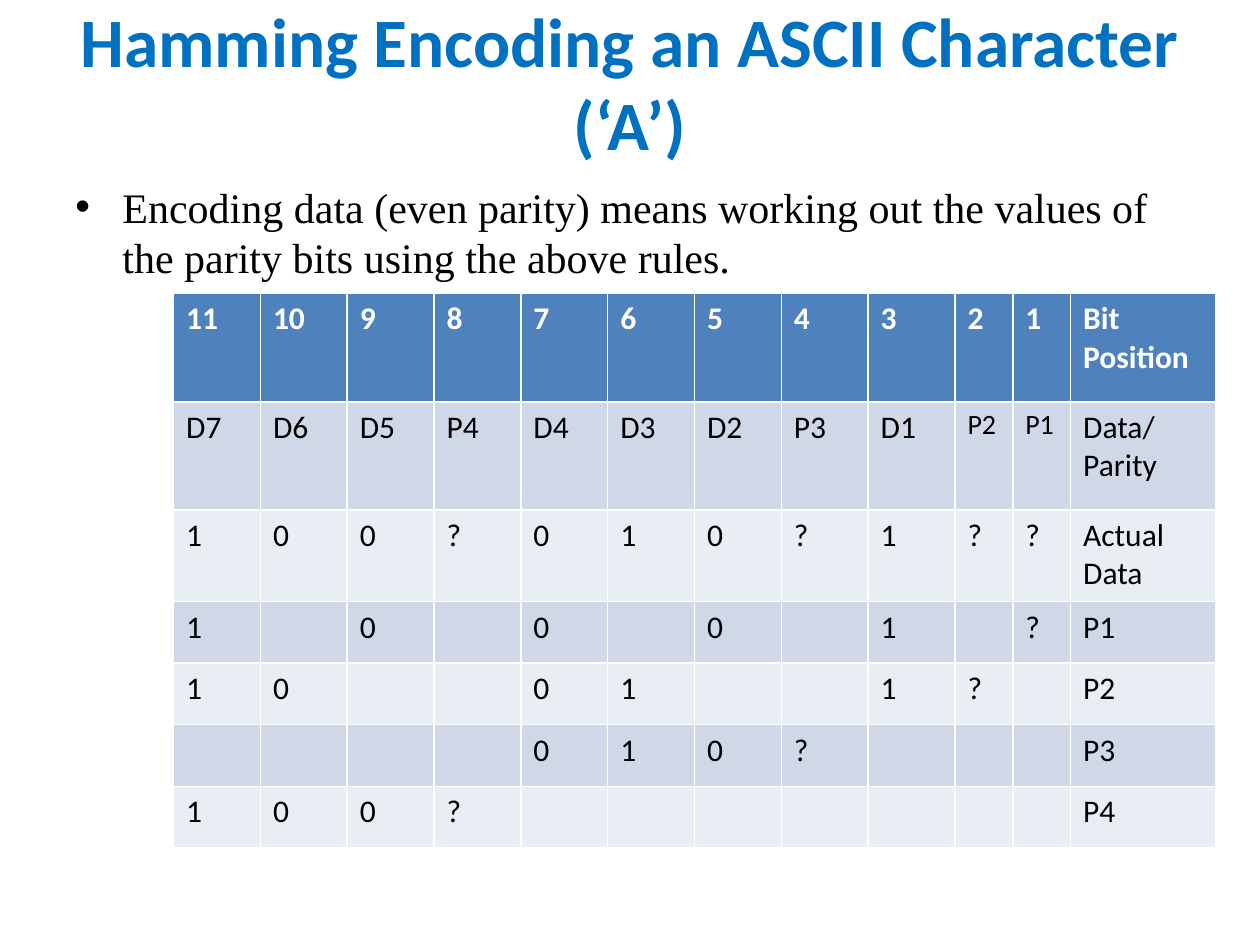
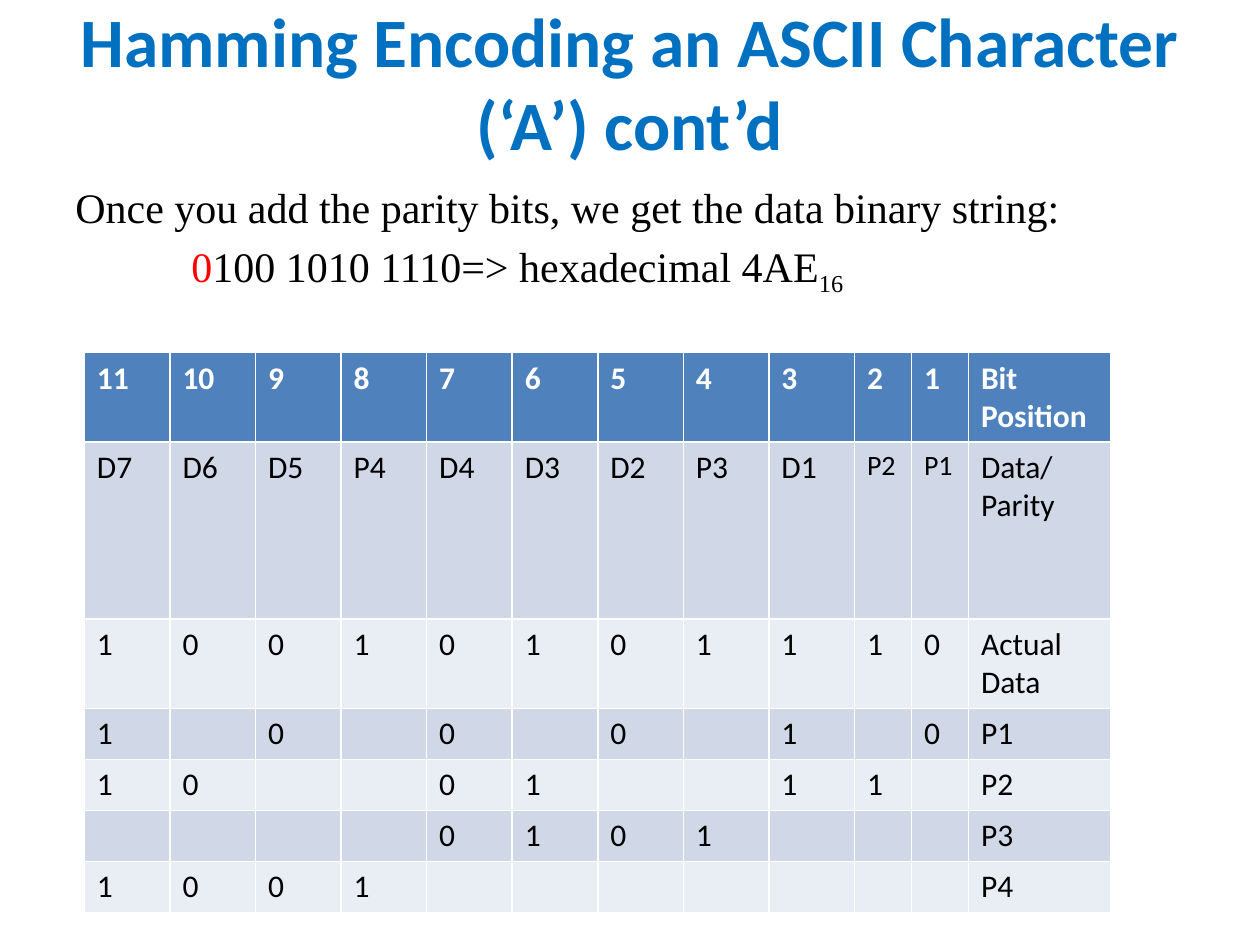
from dataclasses import dataclass

from lxml.etree import SubElement
from pptx import Presentation
from pptx.dml.color import RGBColor
from pptx.enum.text import MSO_ANCHOR as Anchor, MSO_AUTO_SIZE as AutoSize, PP_ALIGN as Align
from pptx.oxml.ns import qn
from pptx.util import Cm, Pt

BLUE, BLACK, RED, WHITE = "0070C0", "000000", "FF0000", "FFFFFF"
HEADER_FILL, BANDS = "4F81BD", ("D0D8E8", "E9EDF4")

TITLE_FONT = {"name": "Calibri", "size": Pt(39.6), "bold": True}
BODY_FONT = {"name": "Times New Roman", "size": Pt(24)}
CELL_FONT = {"name": "Calibri", "size": Pt(18), "bold": False}
TITLE_FRAME = {"word_wrap": True, "auto_size": AutoSize.NONE, "vertical_anchor": Anchor.MIDDLE,
               "margin_top": Cm(0.13), "margin_bottom": Cm(1.57)}
BODY_FRAME = {"word_wrap": True, "auto_size": AutoSize.NONE, "vertical_anchor": Anchor.TOP}

POSITIONS = range(11, 0, -1)
PARITY_BITS = {1: "P1", 2: "P2", 4: "P3", 8: "P4"}
NARROW = (2, 1)
COLUMN_UNITS = [2 if pos in NARROW else 3 for pos in POSITIONS] + [5]


@dataclass
class Run:
    text: str
    color: str = BLACK
    subscript: bool = False


@dataclass
class Para:
    runs: list[Run]
    indent: float = 0
    bullet: bool = False


@dataclass
class CodeTable:
    """Lengths in cm; codeword runs from bit 11 down to bit 1."""
    left: float
    top: float
    width: float
    row_heights: list[float]
    codeword: str


@dataclass
class HammingSlide:
    title: str
    body: list[Para]
    table: CodeTable


SLIDES = [
    HammingSlide(
        "Hamming Encoding an ASCII Character (‘A’)",
        [Para([Run("Encoding data (even parity) means working out the values of "
                   "the parity bits using the above rules.")], indent=0.95, bullet=True)],
        CodeTable(3.5, 5.92, 21, [2.18, 2.18, 1.85] + [1.24] * 4, "100?010?1??")),
    HammingSlide(
        "Hamming Encoding an ASCII Character (‘A’) cont’d",
        [Para([Run("Once you add the parity bits, we get the data binary string:")]),
         Para([Run("0", RED), Run("100 1010 1110=> hexadecimal 4AE"),
               Run("16", subscript=True)], indent=2.34)],
        CodeTable(1.7, 7.11, 20.7, [1.75, 3.56, 1.42] + [1.02] * 4, "10010101110")),
]


def rgb(color: str) -> RGBColor:
    return RGBColor.from_string(color)


def set_all(target, values: dict) -> None:
    for name, value in values.items():
        setattr(target, name, value)


def add_run(p, text: str, font: dict, color: str):
    r = p.add_run()
    r.text = text
    set_all(r.font, font)
    r.font.color.rgb = rgb(color)
    return r


def add_title(s, text: str) -> None:
    sp = s.shapes.title
    set_all(sp, {"left": Cm(1.27), "top": Cm(0.76), "width": Cm(22.86), "height": Cm(3.18)})
    set_all(sp.text_frame, TITLE_FRAME)
    p = sp.text_frame.paragraphs[0]
    p.alignment = Align.CENTER
    add_run(p, text, TITLE_FONT, BLUE)


def add_body(s, paras: list[Para]) -> None:
    tf = s.shapes.add_textbox(Cm(1.27), Cm(3.53), Cm(22.86), Cm(13.49)).text_frame
    set_all(tf, BODY_FRAME)
    for i, para in enumerate(paras):
        p = tf.add_paragraph() if i else tf.paragraphs[0]
        p.space_before = Pt(4.8)
        pPr = p._p.get_or_add_pPr()
        pPr.set("marL", str(Cm(para.indent)))
        if para.bullet:
            pPr.set("indent", str(-Cm(para.indent)))
            SubElement(pPr, qn("a:buFont"), typeface="Arial")
            SubElement(pPr, qn("a:buChar"), char="•")
        for run in para.runs:
            r = add_run(p, run.text, BODY_FONT, run.color)
            if run.subscript:
                r.font._element.set("baseline", "-25000")


def bit_names() -> list[str]:
    """Name each position: powers of two hold parity, the rest hold data."""
    data = [pos for pos in reversed(POSITIONS) if pos not in PARITY_BITS]
    return [PARITY_BITS.get(pos) or f"D{data.index(pos) + 1}" for pos in POSITIONS]


def code_rows(codeword: str) -> list[list[str]]:
    """Each parity row keeps only the bits that its parity bit covers."""
    rows = [[str(pos) for pos in POSITIONS] + ["Bit Position"],
            bit_names() + ["Data/Parity"],
            list(codeword) + ["Actual Data"]]
    for mask, name in PARITY_BITS.items():
        rows.append([bit if pos & mask else "" for pos, bit in zip(POSITIONS, codeword)] + [name])
    return rows


def add_code_table(s, spec: CodeTable) -> None:
    rows = code_rows(spec.codeword)
    table = s.shapes.add_table(len(rows), len(COLUMN_UNITS), Cm(spec.left), Cm(spec.top),
                               Cm(spec.width), Cm(sum(spec.row_heights))).table
    for column, units in zip(table.columns, COLUMN_UNITS):
        column.width = Cm(spec.width * units / sum(COLUMN_UNITS))
    for row, height in zip(table.rows, spec.row_heights):
        row.height = Cm(height)
    small_names = [PARITY_BITS[pos] for pos in NARROW]
    for i, texts in enumerate(rows):
        header = i == 0
        for j, text in enumerate(texts):
            cell = table.cell(i, j)
            cell.fill.solid()
            cell.fill.fore_color.rgb = rgb(HEADER_FILL if header else BANDS[(i - 1) % 2])
            if text:
                font = CELL_FONT | {"bold": header}
                if i == 1 and text in small_names:
                    font["size"] = Pt(16)
                add_run(cell.text_frame.paragraphs[0], text, font, WHITE if header else BLACK)


def main() -> None:
    prs = Presentation()
    prs.slide_width, prs.slide_height = Cm(25.4), Cm(19.05)
    for content in SLIDES:
        s = prs.slides.add_slide(prs.slide_layouts[5])
        add_title(s, content.title)
        add_body(s, content.body)
        add_code_table(s, content.table)
    prs.save("out.pptx")


if __name__ == "__main__":
    main()
